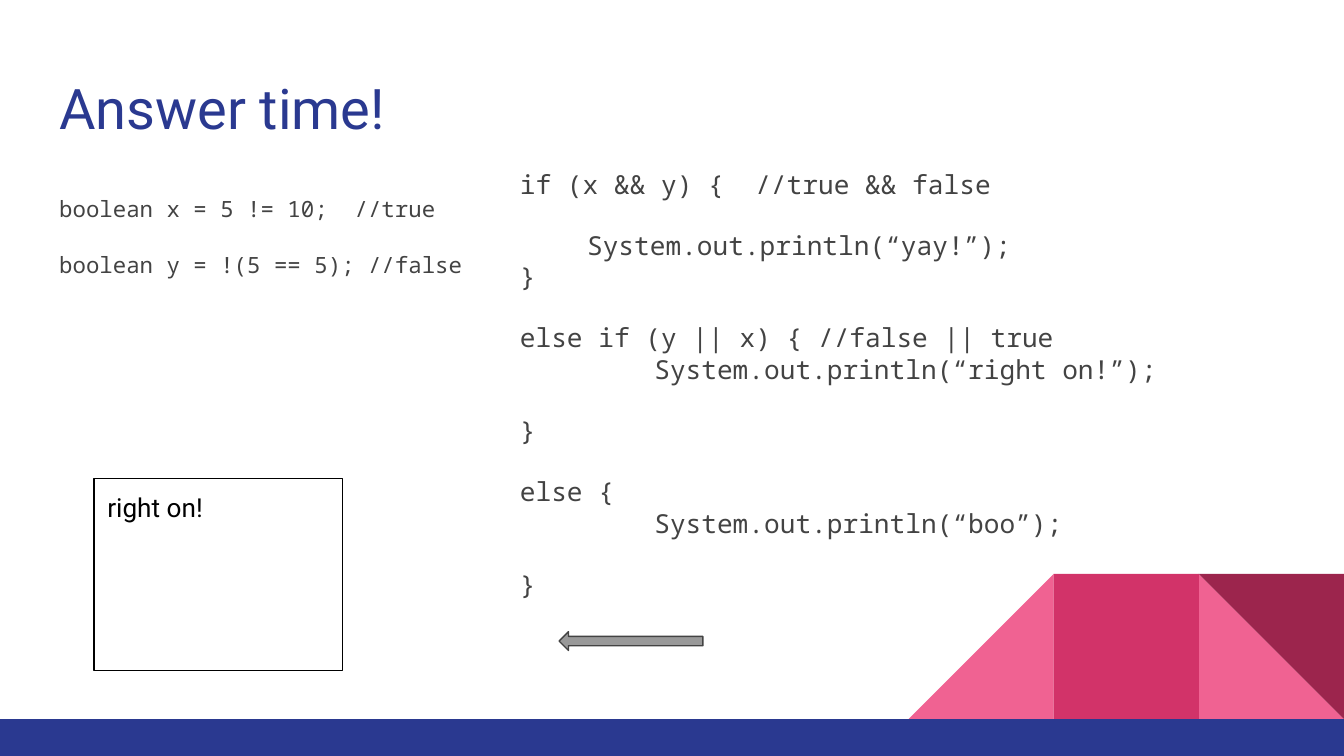
"""Build the "Answer time!" slide about boolean conditions."""
from copy import deepcopy

from lxml.etree import SubElement
from pptx import Presentation
from pptx.dml.color import RGBColor
from pptx.enum.shapes import MSO_SHAPE as SHAPE
from pptx.enum.text import MSO_ANCHOR as ANCHOR, MSO_AUTO_SIZE as FIT, PP_ALIGN as ALIGN
from pptx.oxml.ns import qn
from pptx.util import Inches, Pt

COLORS = {
    "navy": "2A3990", "pink": "F06292", "rose": "D23369", "wine": "9C254D",
    "code": "434343", "black": "000000", "gray": "999999",
}
CODE_FONT, TEXT_FONT = "Noto Sans Mono", "Roboto"


def add_shape(kind, bounds, fill=None, line=None):
    shape = page.shapes.add_shape(kind, *map(Inches, bounds))
    shape.shadow.inherit = False
    if fill:
        shape.fill.solid()
        shape.fill.fore_color.rgb = RGBColor.from_string(COLORS[fill])
    else:
        shape.fill.background()
    if line:
        shape.line.color.rgb = RGBColor.from_string(COLORS[line])
        shape.line.width = Pt(0.75)
    else:
        shape.line.fill.background()
    return shape


def write(box, lines, size, font, color, gap=0):
    frame = box.text_frame
    frame.word_wrap = True
    frame.auto_size = FIT.NONE
    frame.vertical_anchor = ANCHOR.TOP
    frame.margin_left = frame.margin_right = Inches(0.1)
    frame.margin_top = frame.margin_bottom = Inches(0.1)
    for index, line in enumerate(lines):
        para = frame.add_paragraph() if index else frame.paragraphs[0]
        para.text = line
        para.alignment = ALIGN.LEFT
        para.space_before = Pt(gap if index else 0)
        para.space_after = Pt(0)
        for span in para.runs:
            span.font.size = Pt(size)
            span.font.name = font
            span.font.color.rgb = RGBColor.from_string(COLORS[color])
        for line_break in para._p.findall(qn("a:br")):
            line_break.append(deepcopy(para.runs[0].font._element))
    return frame.paragraphs


deck = Presentation()
deck.slide_width = Inches(10)
deck.slide_height = Inches(10) * 9 // 16
page = deck.slides.add_slide(deck.slide_layouts[1])

TILE, TILE_TOP = 1.08, 4.27
tiles = [
    (SHAPE.RIGHT_TRIANGLE, 2, "pink", 0),
    (SHAPE.RIGHT_TRIANGLE, 0, "pink", 270),
    (SHAPE.RECTANGLE, 1, "rose", 0),
    (SHAPE.RIGHT_TRIANGLE, 2, "wine", 180),
]
for kind, column, color, angle in tiles:
    tile = add_shape(kind, (6.76 + column * TILE, TILE_TOP, TILE, TILE), color)
    tile.rotation = angle
add_shape(SHAPE.RECTANGLE, (0, 5.35, 10, 0.28), "navy")

title, body = page.placeholders
title.left, title.top, title.width, title.height = map(Inches, (0.34, 0.45, 9.32, 0.66))
write(title, ["Answer time!"], 30, TEXT_FONT, "navy")

body.left, body.top, body.width, body.height = map(Inches, (0.34, 1.35, 3.43, 1.09))
variables = ["boolean x = 5 != 10;  //true", "boolean y = !(5 == 5); //false"]
for para in write(body, variables, 12, CODE_FONT, "code", gap=16):
    properties = para._p.get_or_add_pPr()
    properties.set("marL", "0")
    properties.set("indent", "0")
    SubElement(properties, qn("a:buNone"))

output = add_shape(SHAPE.RECTANGLE, (0.7, 3.56, 1.85, 1.43), line="black")
write(output, ["right on!"], 14, TEXT_FONT, "black")

branches = page.shapes.add_textbox(*map(Inches, (3.77, 1.15, 5.69, 3.32)))
code = [
    "if (x && y) {  //true && false",
    "System.out.println(“yay!”);\n}",
    "else if (y || x) { //false || true\n\tSystem.out.println(“right on!”);",
    "}",
    "else {\n\tSystem.out.println(“boo”);",
    "}",
]
code_lines = write(branches, code, 14, CODE_FONT, "code", gap=16)
code_lines[1]._p.get_or_add_pPr().set("indent", str(Inches(0.5)))
code_lines[-1].space_after = Pt(16)
for para in code_lines:
    if "\t" in para.text:
        tabs = SubElement(para._p.get_or_add_pPr(), qn("a:tabLst"))
        SubElement(tabs, qn("a:tab"), pos=str(Inches(1)), algn="l")

add_shape(SHAPE.LEFT_ARROW, (4.16, 4.7, 1.07, 0.14), "gray", "code")

deck.save("out.pptx")
